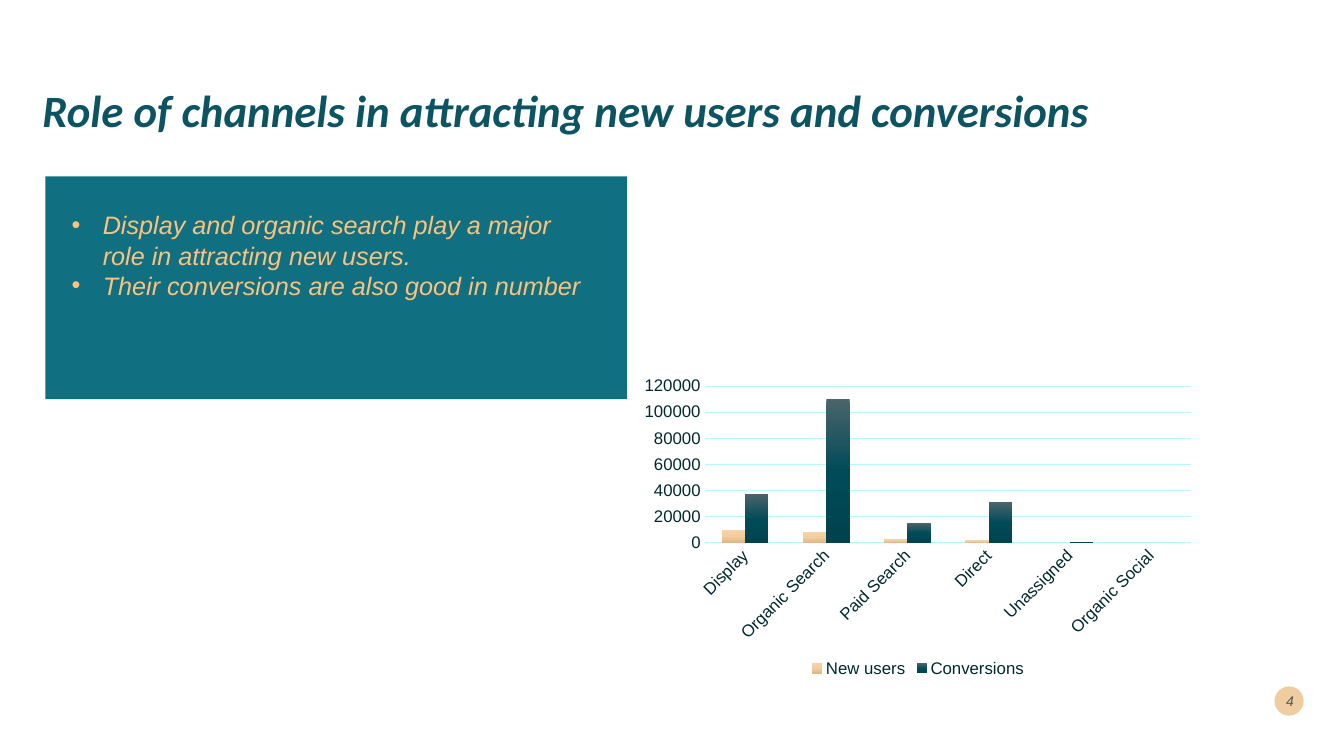
from dataclasses import dataclass

from pptx import Presentation
from pptx.chart.data import CategoryChartData
from pptx.dml.color import RGBColor
from pptx.enum.chart import XL_CHART_TYPE, XL_LEGEND_POSITION, XL_TICK_MARK
from pptx.enum.shapes import MSO_SHAPE
from pptx.enum.text import MSO_ANCHOR, MSO_AUTO_SIZE, PP_ALIGN
from pptx.oxml import parse_xml
from pptx.oxml.ns import nsdecls
from pptx.oxml.xmlchemy import OxmlElement
from pptx.util import Inches, Pt


@dataclass(frozen=True)
class Theme:
    """Colours, fonts and type sizes of the slide."""
    heading: str = "0C5462"
    panel: str = "107082"
    bullet: str = "FBC27D"
    badge: str = "F0CDA1"
    ink: str = "00292E"
    grid: str = "B9F7FF"
    sand: tuple = ("F3D4AE", "F4CD9D", "DEB786")
    teal: tuple = ("4B646C", "014B58", "00434F")
    title_font: str = "Calibri"
    body_font: str = "Arial"
    title_size: int = 32
    body_size: int = 18
    chart_size: int = 12
    badge_size: int = 10


THEME = Theme()
TITLE = "Role of channels in attracting new users and conversions"
POINTS = (
    "Display and organic search play a major role in attracting new users.",
    "Their conversions are also good in number",
)
CHANNELS = ("Display", "Organic Search", "Paid Search", "Direct", "Unassigned", "Organic Social")
SERIES = (
    ("New users", (10000, 8000, 3000, 2000, 0, 0), THEME.sand),
    ("Conversions", (37000, 110000, 15000, 31000, 1000, 0), THEME.teal),
)


def rgb(value):
    """Return a colour from its hex value."""
    return RGBColor.from_string(value)


def style(font, size, color, name=THEME.body_font, bold=False, italic=False):
    """Format a font."""
    font.name, font.size = name, Pt(size)
    font.bold, font.italic = bold, italic
    font.color.rgb = rgb(color)


def place(sp, left, top, width, height):
    """Move a shape to a box given in inches."""
    sp.left, sp.top = Inches(left), Inches(top)
    sp.width, sp.height = Inches(width), Inches(height)


def add_block(s, kind, color, left, top, width, height):
    """Add a plain filled shape."""
    sp = s.shapes.add_shape(kind, Inches(left), Inches(top), Inches(width), Inches(height))
    sp.shadow.inherit = False
    sp.fill.solid()
    sp.fill.fore_color.rgb = rgb(color)
    sp.line.fill.background()


def add_title(s, left, top, width, height):
    """Fill the title placeholder."""
    sp = s.shapes.title
    place(sp, left, top, width, height)
    tf = sp.text_frame
    tf.vertical_anchor = MSO_ANCHOR.MIDDLE
    tf.auto_size = MSO_AUTO_SIZE.NONE
    p = tf.paragraphs[0]
    p.alignment = PP_ALIGN.LEFT
    p.line_spacing = 0.9
    r = p.add_run()
    r.text = TITLE
    style(r.font, THEME.title_size, THEME.heading, THEME.title_font, True, True)


def add_points(s, left, top, width, height):
    """Put the bullet list on its coloured panel."""
    add_block(s, MSO_SHAPE.RECTANGLE, THEME.panel, left, top, width, height)
    sp = s.placeholders[1]
    sp._element.getparent().append(sp._element)
    place(sp, left + 0.16, top + 0.28, width - 0.36, 1.01)
    tf = sp.text_frame
    tf.auto_size = MSO_AUTO_SIZE.SHAPE_TO_FIT_TEXT
    for i, point in enumerate(POINTS):
        p = tf.add_paragraph() if i else tf.paragraphs[0]
        p.space_before = Pt(0)
        pPr = p._p.get_or_add_pPr()
        pPr.set("marL", str(Inches(0.31)))
        pPr.set("indent", str(-Inches(0.31)))
        bullet = OxmlElement("a:buChar")
        bullet.set("char", "•")
        pPr.append(bullet)
        r = p.add_run()
        r.text = point
        style(r.font, THEME.body_size, THEME.bullet, italic=True)


def fill_gradient(series, colors):
    """Fill a series with a vertical gradient of three colours."""
    stops = "".join(
        f'<a:gs pos="{i * 50000}"><a:srgbClr val="{color}"/></a:gs>'
        for i, color in enumerate(colors)
    )
    gradient = parse_xml(
        f'<a:gradFill {nsdecls("a")} rotWithShape="1"><a:gsLst>{stops}</a:gsLst>'
        '<a:lin ang="5400000" scaled="0"/></a:gradFill>'
    )
    series._element.get_or_add_spPr().insert(0, gradient)


def add_channel_chart(s, left, top, width, height):
    """Add the column chart of users and conversions by channel."""
    data = CategoryChartData()
    data.categories = CHANNELS
    for name, values, _ in SERIES:
        data.add_series(name, values)
    chart = s.shapes.add_chart(
        XL_CHART_TYPE.COLUMN_CLUSTERED,
        Inches(left), Inches(top), Inches(width), Inches(height), data,
    ).chart
    style(chart.font, THEME.chart_size, THEME.ink)
    chart.has_title = False
    chart.has_legend = True
    chart.legend.position = XL_LEGEND_POSITION.BOTTOM
    chart.legend.include_in_layout = False
    style(chart.legend.font, THEME.chart_size, THEME.ink)

    plot = chart.plots[0]
    plot.gap_width, plot.overlap = 150, 0
    plot.vary_by_categories = False
    for series, (_, _, colors) in zip(plot.series, SERIES):
        fill_gradient(series, colors)

    cat, val = chart.category_axis, chart.value_axis
    for axis in (cat, val):
        axis.major_tick_mark = axis.minor_tick_mark = XL_TICK_MARK.NONE
        style(axis.tick_labels.font, THEME.chart_size, THEME.ink)
    cat._element.txPr.bodyPr.set("rot", "-2700000")
    val.minimum_scale, val.maximum_scale, val.major_unit = 0, 120000, 20000
    val.has_major_gridlines = True
    val.format.line.fill.background()
    for line in (cat.format.line, val.major_gridlines.format.line):
        line.color.rgb = rgb(THEME.grid)
        line.width = Pt(0.75)


def add_badge(s, number, left, top, size):
    """Add the page number on its round badge."""
    add_block(s, MSO_SHAPE.OVAL, THEME.badge, left, top, size, size)
    sp = s.shapes.add_textbox(
        Inches(left - 0.1), Inches(top - 0.06), Inches(size + 0.1), Inches(size + 0.11)
    )
    tf = sp.text_frame
    tf.word_wrap = True
    tf.vertical_anchor = MSO_ANCHOR.MIDDLE
    p = tf.paragraphs[0]
    p.alignment = PP_ALIGN.RIGHT
    r = p.add_run()
    r.text = number
    style(r.font, THEME.badge_size, THEME.ink, italic=True)
    alpha = OxmlElement("a:alpha")
    alpha.set("val", "70000")
    r._r.rPr.find(".//{*}srgbClr").append(alpha)


def main():
    """Build the slide and save it."""
    prs = Presentation()
    prs.slide_width, prs.slide_height = Inches(13.33), Inches(7.5)
    s = prs.slides.add_slide(prs.slide_layouts[1])
    add_badge(s, "4", 12.64, 6.81, 0.29)
    add_title(s, 0.32, 0.4, 11.18, 1.45)
    add_points(s, 0.45, 1.75, 5.77, 2.21)
    add_channel_chart(s, 6.28, 3.68, 5.65, 3.08)
    prs.save("out.pptx")


if __name__ == "__main__":
    main()
